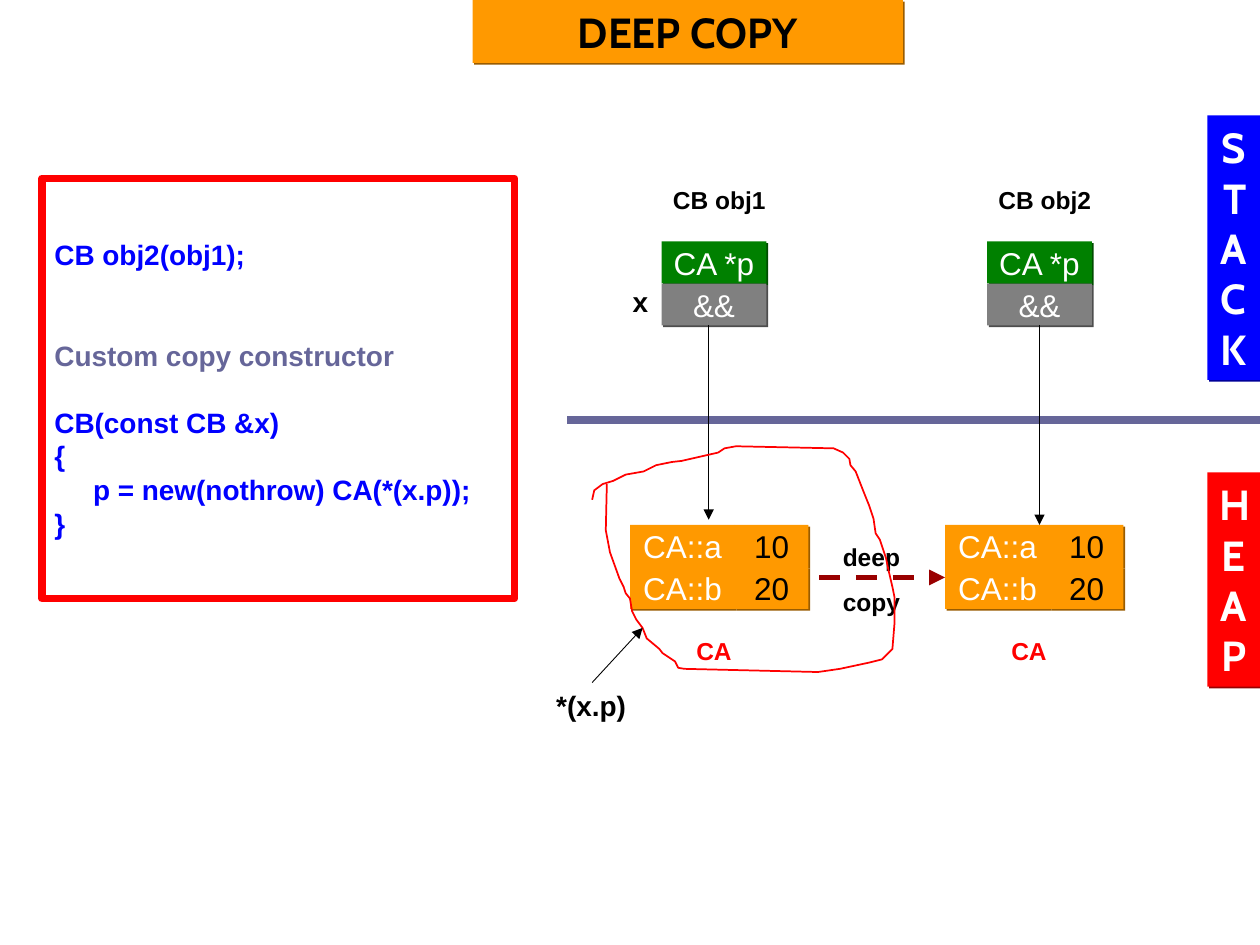
import lxml.etree
import pptx
import pptx.dml.color
import pptx.enum.dml
import pptx.enum.shapes
import pptx.enum.text
import pptx.oxml.ns
import pptx.util

PX = 7620  # 120 px to the inch
ALIGN = pptx.enum.text.PP_ALIGN
ANCHOR = pptx.enum.text.MSO_ANCHOR
RECTANGLE = pptx.enum.shapes.MSO_SHAPE.RECTANGLE
STRAIGHT = pptx.enum.shapes.MSO_CONNECTOR.STRAIGHT
qn = pptx.oxml.ns.qn

ORANGE, BLUE, RED, SLATE = "FF9900", "0000FF", "FF0000", "666699"
BLACK, WHITE = "000000", "FFFFFF"
BANNER = {"name": "Cabin", "size": pptx.util.Pt(24), "bold": True}
CELL = {"name": "Arial", "size": pptx.util.Pt(18), "bold": False}
CODE = {"name": "Arial", "size": pptx.util.Pt(16), "bold": True}
LABEL = {"name": "Arial", "size": pptx.util.Pt(14), "bold": True}

# Corners of the hand-drawn loop, relative to its box
LOOP = [
    (0, 51), (2, 42), (10, 36), (20, 33), (32, 27), (49, 24), (61, 18), (76, 15),
    (85, 14), (107, 9), (120, 6), (126, 2), (137, 0), (230, 2), (239, 6),
    (245, 12), (246, 18), (251, 24), (258, 42), (264, 57), (268, 69),
    (270, 83), (274, 89), (280, 107), (282, 117), (286, 134), (288, 144),
    (288, 168), (286, 193), (276, 203), (264, 206), (236, 212), (215, 215),
    (88, 212), (82, 211), (79, 205), (67, 197), (64, 193), (52, 183),
    (48, 173), (42, 165), (38, 157), (36, 145), (32, 140), (30, 134),
    (26, 126), (17, 101), (13, 80), (14, 36),
]


def rgb(value):
    return pptx.dml.color.RGBColor.from_string(value)


def px(*lengths):
    return [length * PX for length in lengths]


def write(shape, lines, style, align=ALIGN.CENTER, anchor=ANCHOR.TOP, wrap=True):
    """Fill a shape with (text, colour, space before in points) lines."""
    frame = shape.text_frame
    frame.auto_size = pptx.enum.text.MSO_AUTO_SIZE.NONE
    frame.word_wrap = wrap
    frame.vertical_anchor = anchor
    for index, (text, color, before) in enumerate(lines):
        paragraph = frame.paragraphs[0] if index == 0 else frame.add_paragraph()
        paragraph.alignment = align
        if before:
            paragraph.space_before = pptx.util.Pt(before)
        run = paragraph.add_run()
        run.text = text
        for name, value in style.items():
            setattr(run.font, name, value)
        run.font.color.rgb = rgb(color)


def paint(shape, fill, shadow):
    """Give a solid fill without outline and a hard offset shadow."""
    shape.fill.solid()
    shape.fill.fore_color.rgb = rgb(fill)
    shape.line.fill.background()
    shape.shadow.inherit = False
    effects = shape._element.spPr.find(qn("a:effectLst"))
    outer = lxml.etree.SubElement(effects, qn("a:outerShdw"), dist="17961", dir="2700000")
    lxml.etree.SubElement(outer, qn("a:srgbClr"), val=shadow)


def add_block(slide, box, text, style, fill, shadow, color=WHITE, **layout):
    block = slide.shapes.add_shape(RECTANGLE, *px(*box))
    paint(block, fill, shadow)
    write(block, [(text, color, 0)], style, **layout)


def add_cell(slide, box, text, fill, shadow, color=WHITE):
    add_block(slide, box, text, CELL, fill, shadow, color, anchor=ANCHOR.MIDDLE, wrap=False)


def add_label(slide, box, lines, style=LABEL, color=BLACK):
    label = slide.shapes.add_textbox(*px(*box))
    write(label, [(text, color, 8.8 if index else 0) for index, text in enumerate(lines)], style)


def add_line(slide, start, end, color, width, arrow=True, dashed=False):
    connector = slide.shapes.add_connector(STRAIGHT, *px(*start, *end))
    connector.line.color.rgb = rgb(color)
    connector.line.width = pptx.util.Pt(width)
    if dashed:
        connector.line.dash_style = pptx.enum.dml.MSO_LINE.DASH
    if arrow:
        lxml.etree.SubElement(connector.line._get_or_add_ln(), qn("a:tailEnd"), type="triangle")
    lxml.etree.SubElement(connector._element.spPr, qn("a:effectLst"))


def add_title(slide, left, top, width, height):
    title = slide.shapes.title
    title.left, title.top, title.width, title.height = px(left, top, width, height)
    paint(title, ORANGE, "995C00")
    write(title, [("DEEP COPY", BLACK, 0)], BANNER)


def add_code_panel(slide, box):
    panel = slide.shapes.add_shape(RECTANGLE, *px(*box))
    panel.shadow.inherit = False
    panel.fill.solid()
    panel.fill.fore_color.rgb = rgb(WHITE)
    panel.line.color.rgb = rgb(RED)
    panel.line.width = pptx.util.Pt(4.5)
    lines = [
        ("CB obj2(obj1);", BLUE, 0),
        ("Custom copy constructor", SLATE, 38.4),
        ("CB(const CB &x)", BLUE, 19.2),
        ("{", BLUE, 0),
        ("     p = new(nothrow) CA(*(x.p));", BLUE, 0),
        ("}", BLUE, 0),
    ]
    write(panel, lines, CODE, ALIGN.LEFT, ANCHOR.MIDDLE, wrap=False)


def add_stack_object(slide, left, top, name):
    add_label(slide, (left - 10, top, 130, 41), [name])
    add_cell(slide, (left, top + 60, 100, 40), "CA *p", "008000", "004D00")
    add_cell(slide, (left, top + 100, 100, 40), "&&", "808080", "4D4D4D")


def add_heap_object(slide, left, top):
    for row, (member, value) in enumerate([("CA::a", "10"), ("CA::b", "20")]):
        y = top + row * 40
        add_cell(slide, (left, y, 100, 40), member, ORANGE, "995C00")
        add_cell(slide, (left + 100, y, 70, 40), value, ORANGE, "995C00", BLACK)
    add_label(slide, (left + 30, top + 100, 100, 41), ["CA"], color=RED)


def add_loop(slide, left, top):
    corners = [(left + x, top + y) for x, y in LOOP]
    builder = slide.shapes.build_freeform(*corners[0], scale=PX)
    builder.add_line_segments(corners[1:], close=False)
    loop = builder.convert_to_shape()
    loop.shadow.inherit = False
    loop.fill.background()
    loop.line.color.rgb = rgb(RED)
    loop.line.width = pptx.util.Pt(1)


def main():
    deck = pptx.Presentation()
    deck.slide_width, deck.slide_height = px(1200, 900)
    slide = deck.slides.add_slide(deck.slide_layouts[5])

    add_title(slide, 450, 0, 410, 60)
    add_block(slide, (1150, 110, 50, 252), "STACK", BANNER, BLUE, "000099")
    add_block(slide, (1150, 450, 50, 204), "HEAP", BANNER, RED, "990000")
    add_line(slide, (540, 400), (1200, 400), SLATE, 4.5, arrow=False)

    add_stack_object(slide, 630, 170, "CB obj1")
    add_stack_object(slide, 940, 170, "CB obj2")
    add_heap_object(slide, 600, 500)
    add_heap_object(slide, 900, 500)
    add_line(slide, (675, 310), (675, 495), BLACK, 0.75)
    add_line(slide, (990, 310), (990, 500), BLACK, 0.75)

    add_code_panel(slide, (40, 170, 450, 400))
    add_line(slide, (780, 550), (900, 550), "990000", 3, dashed=True)
    add_label(slide, (770, 510, 120, 83), ["deep", "copy"])

    add_label(slide, (587, 265, 46, 44), ["x"], CODE)
    add_label(slide, (511, 650, 104, 44), ["*(x.p)"], CODE)
    add_loop(slide, 564, 425)
    add_line(slide, (564, 650), (612, 598), BLACK, 0.5)

    deck.save("out.pptx")


if __name__ == "__main__":
    main()
